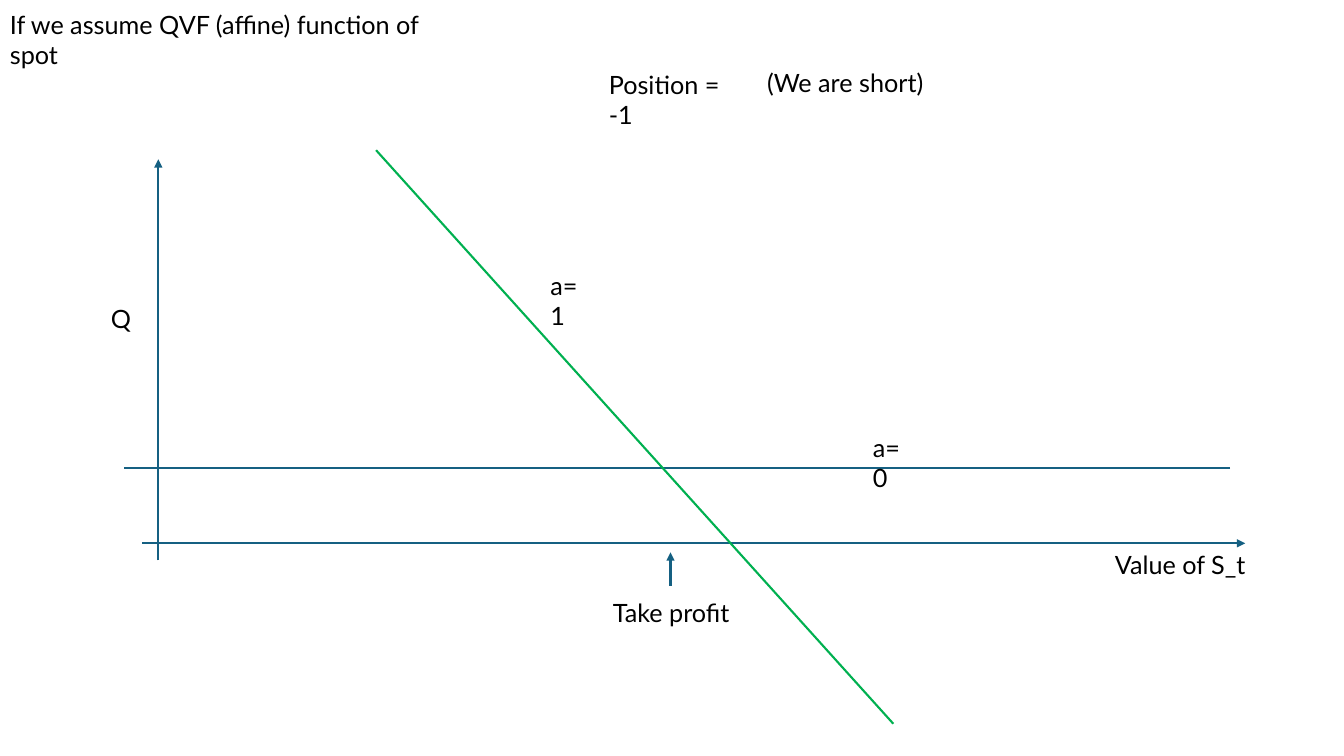
import pptx
import pptx.util
import pptx.dml.color
import pptx.enum.shapes
import pptx.enum.text
import pptx.oxml.ns
import lxml.etree

BLUE, GREEN, BLACK = "156082", "00B050", "000000"


def px(n):
    # 100 px to the inch
    return pptx.util.Emu(n * 9144)


def color(code):
    return pptx.dml.color.RGBColor.from_string(code)


def label(slide, text, x, y, w):
    box = slide.shapes.add_textbox(px(x), px(y), px(w), px(40))
    frame = box.text_frame
    frame.word_wrap = True
    frame.auto_size = pptx.enum.text.MSO_AUTO_SIZE.NONE
    para = frame.paragraphs[0]
    para.text = text
    para.font.name = "Lato"
    para.font.size = pptx.util.Pt(18)
    para.font.color.rgb = color(BLACK)


def line(slide, x1, y1, x2, y2, code=BLUE, arrow=False):
    wire = slide.shapes.add_connector(
        pptx.enum.shapes.MSO_CONNECTOR.STRAIGHT, px(x1), px(y1), px(x2), px(y2))
    wire.line.color.rgb = color(code)
    wire.line.width = pptx.util.Pt(1.5)
    qn = pptx.oxml.ns.qn
    if arrow:
        lxml.etree.SubElement(wire.line._get_or_add_ln(), qn("a:tailEnd"), type="triangle")
    lxml.etree.SubElement(wire._element.spPr, qn("a:effectLst"))


def header(slide, x, y):
    # Assumption and position held
    label(slide, "If we assume QVF (affine) function of spot", x, y, 471)
    label(slide, "Position = -1", x + 594, y + 60, 152)
    label(slide, "(We are short)", x + 751, y + 58, 177)


def graph(slide, x, y, w, h):
    # Axes, with the origin near the lower left corner
    base, left = y + h - 17, x + 34
    line(slide, x + 18, base, x + w, base, arrow=True)
    line(slide, left, y + h, left, y, arrow=True)
    label(slide, "Value of S_t", x + w - 139, base + 1, 152)
    label(slide, "Q", left - 57, y + 138, 39)

    # Flat line for a=0, falling line for a=1
    flat = base - 75
    line(slide, x + w - 15, flat, x, flat)
    line(slide, x + 250, y - 9, x + 763, y + 560, GREEN)
    label(slide, "a=0", x + 733, flat - 40, 61)
    label(slide, "a=1", x + 413, y + 105, 61)

    # Exit point below the axis
    spot = x + 542
    line(slide, spot, base + 42, spot, base + 9, arrow=True)
    label(slide, "Take profit", spot - 67, base + 49, 137)


def main():
    deck = pptx.Presentation()
    deck.slide_width, deck.slide_height = px(1333), px(750)
    slide = deck.slides.add_slide(deck.slide_layouts[6])
    header(slide, 0, 4)
    graph(slide, 123, 158, 1112, 398)
    deck.save("out.pptx")


if __name__ == "__main__":
    main()
